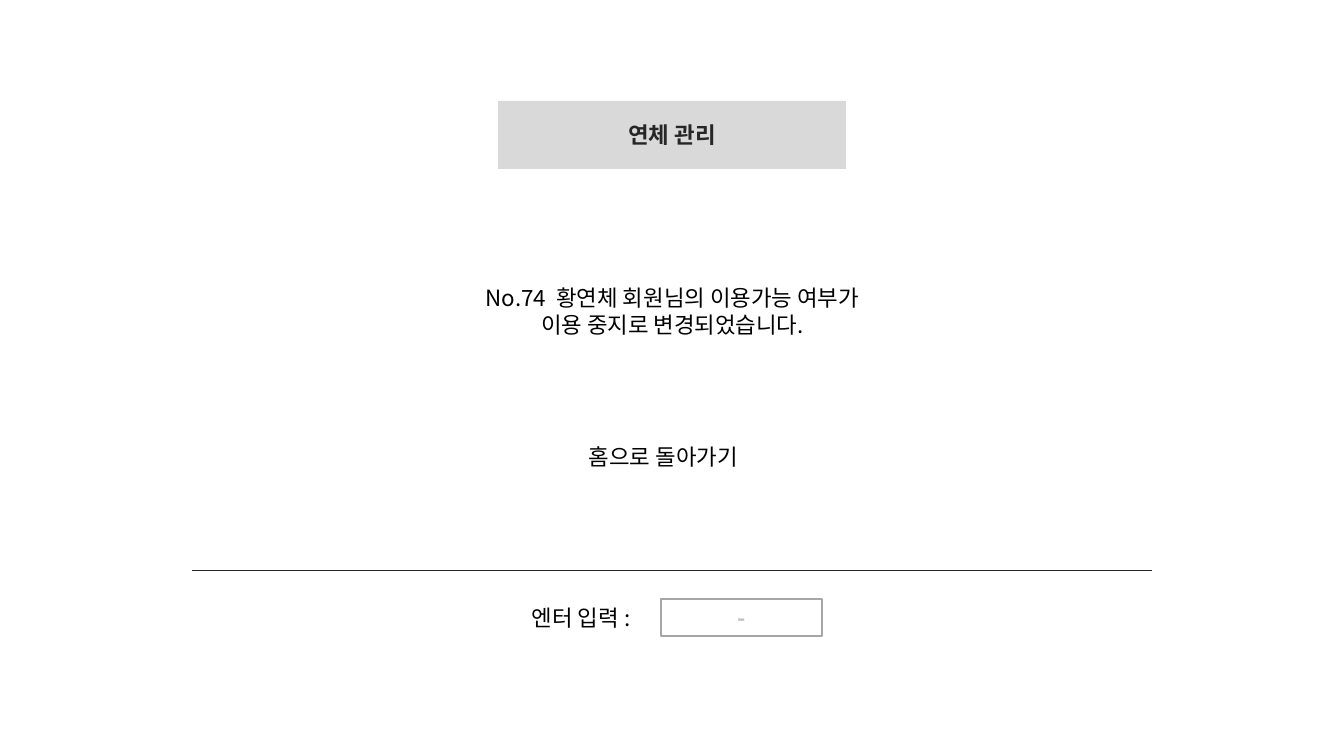
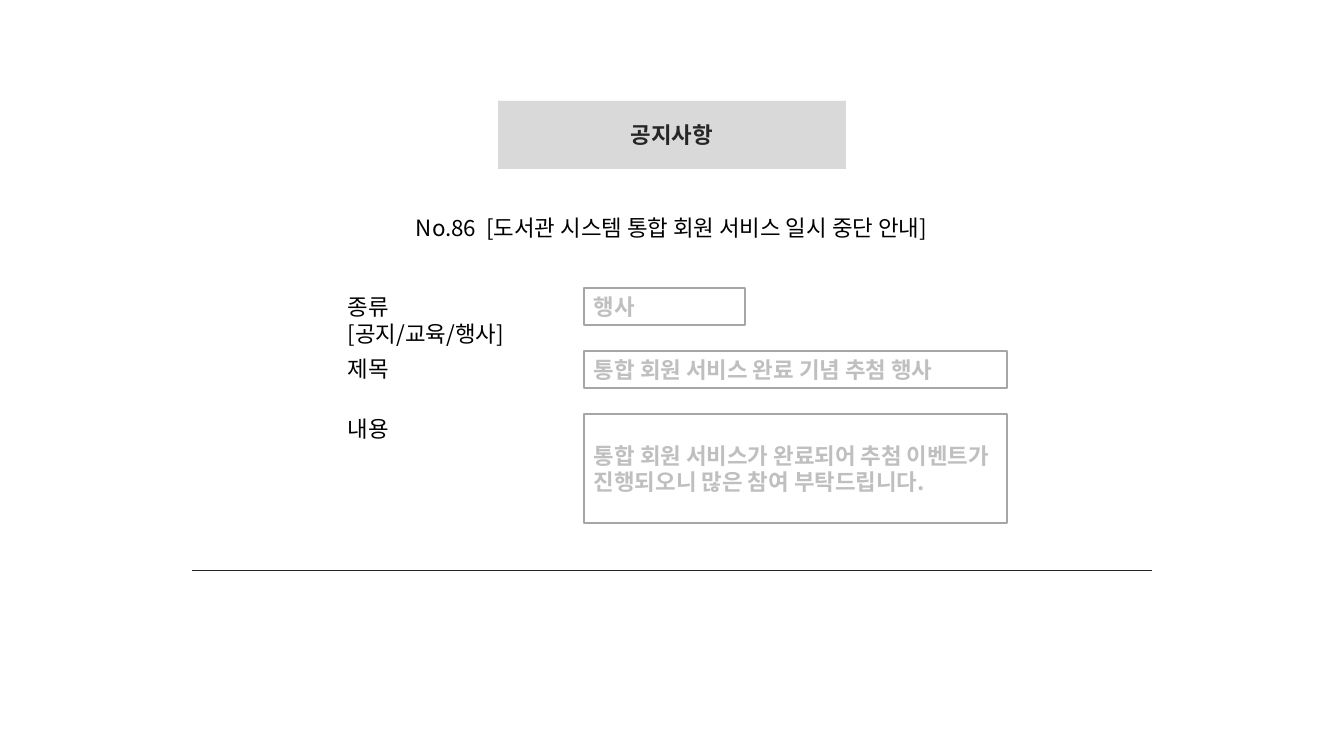
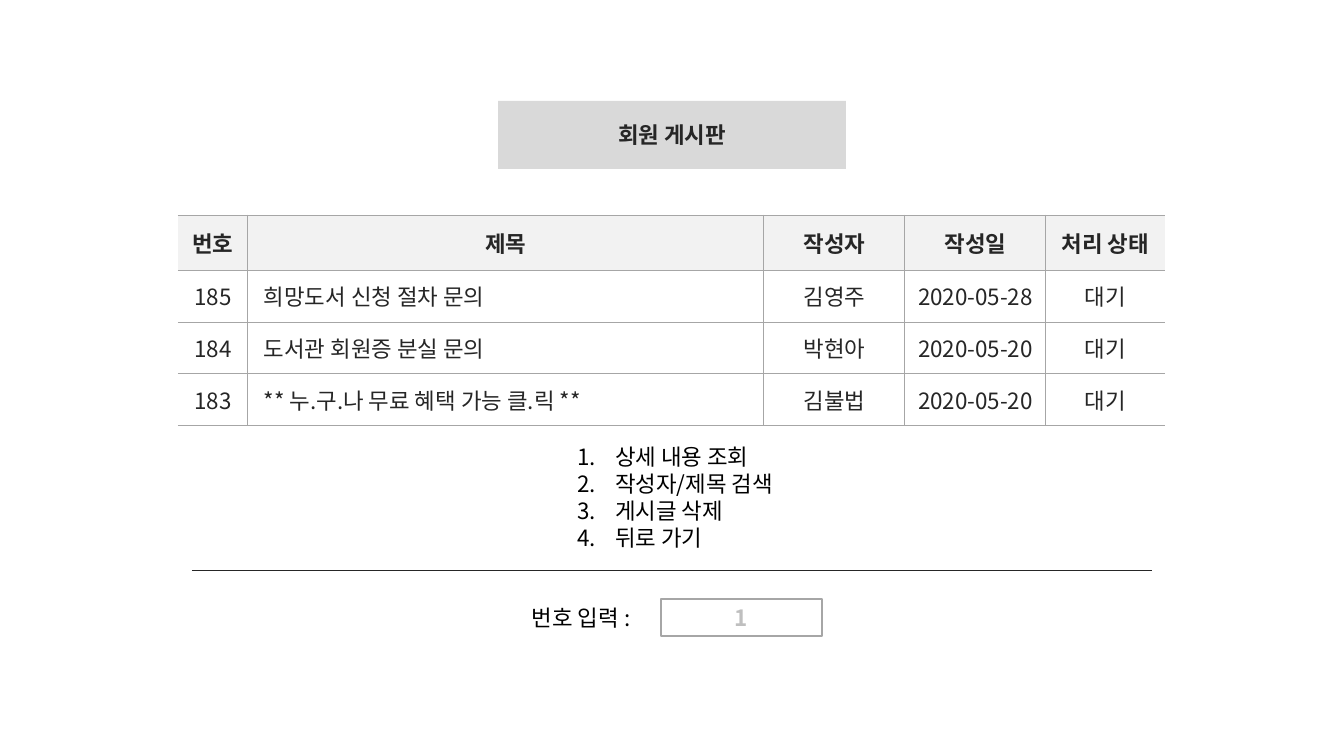
"""Build three screens of a library console: overdue control, notices and the member board."""
from dataclasses import dataclass

from lxml.etree import SubElement
from pptx import Presentation
from pptx.dml.color import RGBColor
from pptx.enum.shapes import MSO_CONNECTOR, MSO_SHAPE
from pptx.enum.text import MSO_ANCHOR, MSO_AUTO_SIZE, PP_ALIGN
from pptx.oxml.ns import qn
from pptx.util import Pt


@dataclass(frozen=True)
class Theme:
    black: RGBColor = RGBColor.from_string("000000")
    ink: RGBColor = RGBColor.from_string("262626")
    hint: RGBColor = RGBColor.from_string("BFBFBF")
    border: RGBColor = RGBColor.from_string("A6A6A6")
    band: RGBColor = RGBColor.from_string("D9D9D9")
    header: RGBColor = RGBColor.from_string("F2F2F2")
    white: RGBColor = RGBColor.from_string("FFFFFF")
    title_font: str = "Arial"
    font: str = "Noto Sans CJK KR"
    size: Pt = Pt(16)
    rule: Pt = Pt(0.5)
    grid: Pt = Pt(0.75)
    outline: Pt = Pt(1)


THEME = Theme()
EMU_PER_PX = 914400 / 100.8
LEFT, CENTER = PP_ALIGN.LEFT, PP_ALIGN.CENTER
PROMPT = (522, 599, 140, 37)
ENTRY = (661, 599, 161, 37)


def px(*lengths):
    return [round(length * EMU_PER_PX) for length in lengths]


def write(frame, lines, color=THEME.black, align=LEFT, bold=False, font=THEME.font):
    frame.word_wrap = True
    for index, line in enumerate(lines):
        para = frame.add_paragraph() if index else frame.paragraphs[0]
        para.alignment = align
        para.space_before = Pt(0)
        span = para.add_run()
        span.text = line
        span.font.name = font
        span.font.size = THEME.size
        span.font.bold = bold
        span.font.color.rgb = color
        SubElement(span._r.get_or_add_rPr(), qn("a:ea"), typeface=THEME.font)


deck = Presentation()
deck.slide_width, deck.slide_height = px(1344, 756)
list_layout, title_layout = deck.slide_layouts[1], deck.slide_layouts[5]

screens = [
    (
        "연체 관리",
        title_layout,
        [
            (PROMPT, LEFT, ["엔터 입력 :"]),
            ((454, 279, 437, 65), CENTER,
             ["No.74  황연체 회원님의 이용가능 여부가", "이용 중지로 변경되었습니다."]),
            ((579, 438, 186, 37), LEFT, ["홈으로 돌아가기"]),
        ],
        [(ENTRY, CENTER, "-")],
    ),
    (
        "공지사항",
        title_layout,
        [
            ((362, 209, 619, 37), CENTER,
             ["No.86  [도서관 시스템 통합 회원 서비스 일시 중단 안내]"]),
            ((338, 288, 241, 64), LEFT, ["종류", "[공지/교육/행사]"]),
            ((338, 350, 66, 37), LEFT, ["제목"]),
            ((338, 410, 66, 37), LEFT, ["내용"]),
        ],
        [
            ((584, 288, 161, 37), LEFT, "행사"),
            ((584, 351, 423, 37), LEFT, "통합 회원 서비스 완료 기념 추첨 행사"),
            ((584, 414, 423, 109), LEFT,
             "통합 회원 서비스가 완료되어 추첨 이벤트가 진행되오니 많은 참여 부탁드립니다."),
        ],
    ),
    (
        "회원 게시판",
        list_layout,
        [(PROMPT, LEFT, ["번호 입력 :"])],
        [(ENTRY, CENTER, "1")],
    ),
]

for heading, layout, labels, fields in screens:
    page = deck.slides.add_slide(layout)
    title = page.shapes.title
    title.left, title.top, title.width, title.height = px(498, 101, 348, 68)
    title.fill.solid()
    title.fill.fore_color.rgb = THEME.band
    title.text_frame.auto_size = MSO_AUTO_SIZE.NONE
    title.text_frame.vertical_anchor = MSO_ANCHOR.MIDDLE
    write(title.text_frame, [heading], THEME.ink, CENTER, True, THEME.title_font)

    divider = page.shapes.add_connector(MSO_CONNECTOR.STRAIGHT, *px(192, 570, 1152, 570))
    divider.line.color.rgb = THEME.ink
    divider.line.width = THEME.rule
    SubElement(divider._element.spPr, qn("a:effectLst"))

    for place, align, lines in labels:
        write(page.shapes.add_textbox(*px(*place)).text_frame, lines, align=align)

    for place, align, value in fields:
        box = page.shapes.add_shape(MSO_SHAPE.RECTANGLE, *px(*place))
        box.shadow.inherit = False
        box.fill.solid()
        box.fill.fore_color.rgb = THEME.white
        box.line.color.rgb = THEME.border
        box.line.width = THEME.outline
        box.text_frame.vertical_anchor = MSO_ANCHOR.MIDDLE
        write(box.text_frame, [value], THEME.hint, align, True)

menu = page.placeholders[1]
menu.left, menu.top, menu.width, menu.height = px(567, 438, 234, 119)
menu.text_frame.auto_size = MSO_AUTO_SIZE.NONE
write(menu.text_frame, ["상세 내용 조회", "작성자/제목 검색", "게시글 삭제", "뒤로 가기"])
[number_indent] = px(38)
for para in menu.text_frame.paragraphs:
    properties = para._p.get_or_add_pPr()
    properties.set("marL", str(number_indent))
    properties.set("indent", str(-number_indent))
    SubElement(properties, qn("a:buFont"), typeface=THEME.font)
    SubElement(properties, qn("a:buAutoNum"), type="arabicPeriod")

posts = [
    ["번호", "제목", "작성자", "작성일", "처리 상태"],
    ["185", "희망도서 신청 절차 문의", "김영주", "2020-05-28", "대기"],
    ["184", "도서관 회원증 분실 문의", "박현아", "2020-05-20", "대기"],
    ["183", "** 누.구.나 무료 혜택 가능 클.릭 **", "김불법", "2020-05-20", "대기"],
]
column_widths = [70, 516, 141, 141, 119]
row_heights = [55, 52, 52, 52]
board = page.shapes.add_table(
    len(posts), len(column_widths), *px(178, 215, sum(column_widths), sum(row_heights))
).table
board.first_row = board.horz_banding = False
for column, width in zip(board.columns, px(*column_widths)):
    column.width = width
for row, height in zip(board.rows, px(*row_heights)):
    row.height = height

for row_index, post in enumerate(posts):
    for column_index, value in enumerate(post):
        cell = board.cell(row_index, column_index)
        is_header = row_index == 0
        is_subject = column_index == 1 and not is_header
        cell.margin_left, cell.margin_right, cell.margin_top, cell.margin_bottom = px(
            16 if is_subject else 0, 0, 0, 0
        )
        cell.vertical_anchor = MSO_ANCHOR.MIDDLE
        write(cell.text_frame, [value], THEME.ink, LEFT if is_subject else CENTER, is_header)
        sides = {"L": column_index > 0, "R": column_index < len(post) - 1, "T": True, "B": True}
        for side, visible in sides.items():
            edge = SubElement(
                cell._tc.get_or_add_tcPr(), qn(f"a:ln{side}"), w=str(int(THEME.grid))
            )
            if visible:
                paint = SubElement(edge, qn("a:solidFill"))
                SubElement(paint, qn("a:srgbClr"), val=str(THEME.border))
            else:
                SubElement(edge, qn("a:noFill"))
        cell.fill.solid()
        cell.fill.fore_color.rgb = THEME.header if is_header else THEME.white

deck.save("out.pptx")
